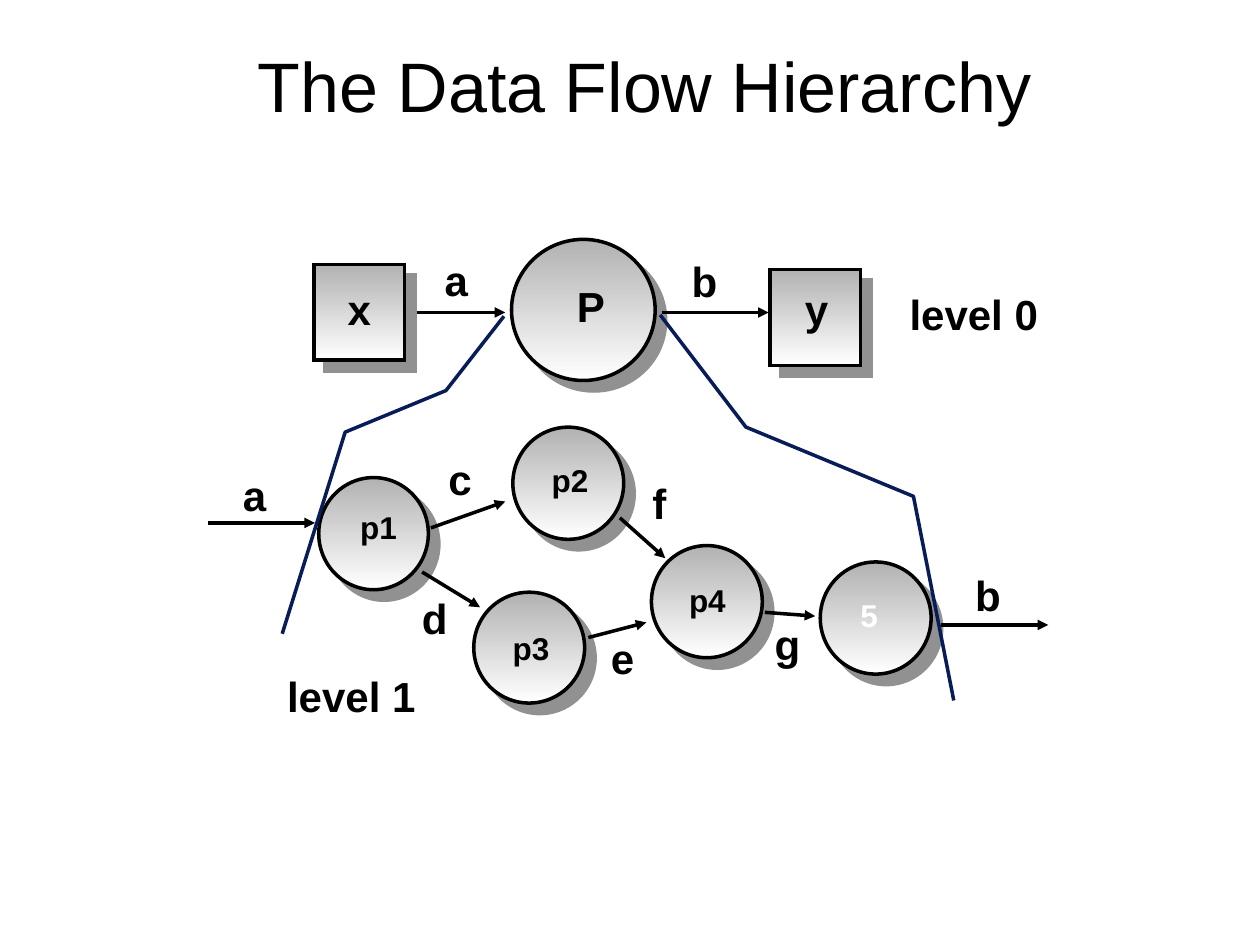
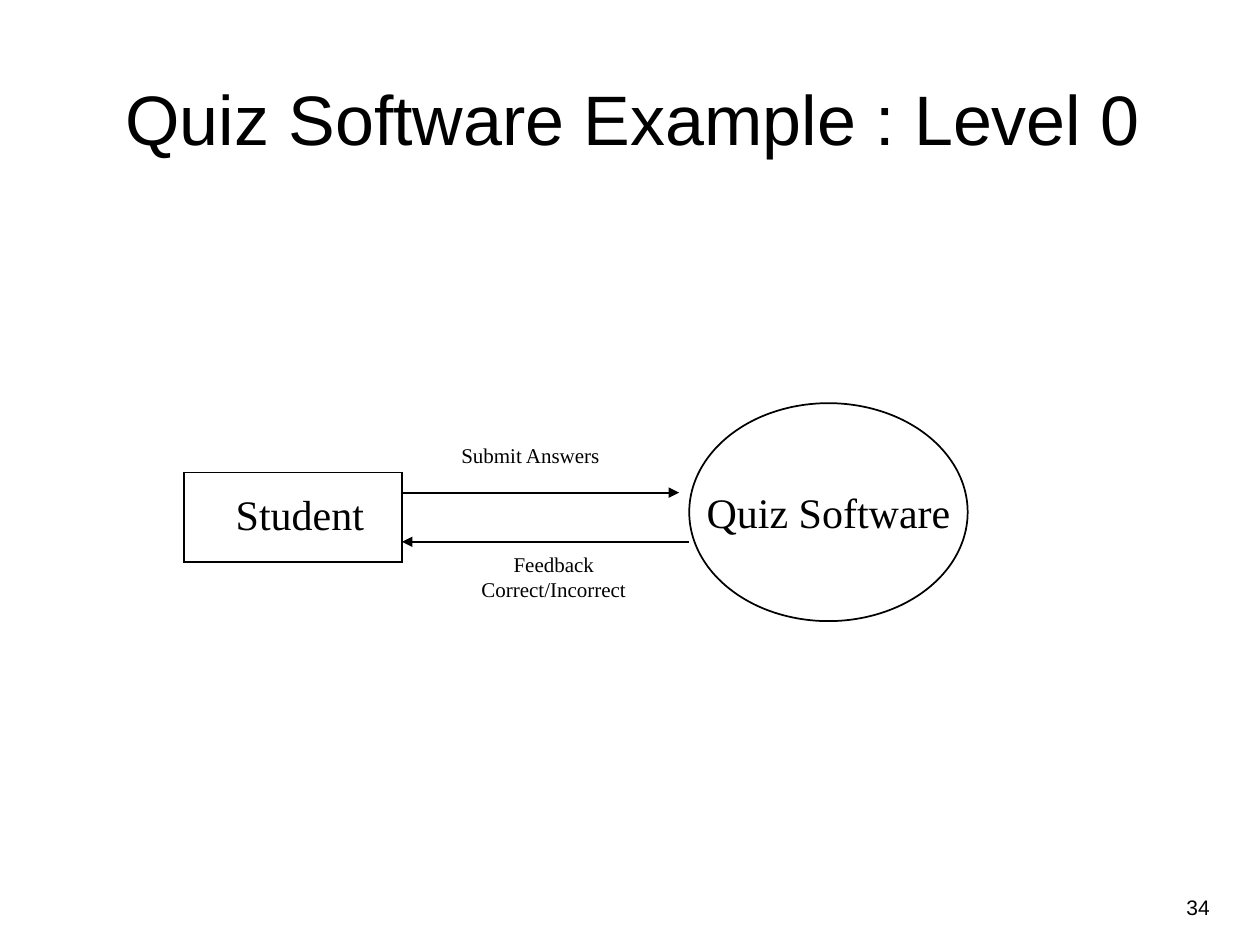
from dataclasses import dataclass

from lxml.etree import SubElement
from pptx import Presentation
from pptx.dml.color import RGBColor
from pptx.enum.shapes import MSO_CONNECTOR, MSO_SHAPE as Preset
from pptx.enum.text import MSO_ANCHOR as Anchor, MSO_AUTO_SIZE as AutoSize, PP_ALIGN as Align
from pptx.oxml.ns import qn
from pptx.shapes.autoshape import Shape
from pptx.slide import Slide
from pptx.util import Emu, Pt

PX = 9144  # one hundred px to the inch
COLORS = {
    "ink": "000000",
    "paper": "FFFFFF",
    "metal": "B2B2B2",
    "shadow": "919191",
    "boundary": "081D58",
}
SANS, SERIF = "Arial", "Times New Roman"
TITLE_ONLY = 5


@dataclass(frozen=True)
class Box:
    left: int
    top: int
    width: int
    height: int

    def emu(self) -> tuple[Emu, ...]:
        return tuple(px(n) for n in (self.left, self.top, self.width, self.height))


@dataclass(frozen=True)
class Flow:
    start: tuple[int, int]
    end: tuple[int, int]


@dataclass(frozen=True)
class Label:
    text: str
    left: int
    top: int
    width: int
    size: int = 24
    color: str = "ink"


PROCESSES = [
    Box(406, 190, 114, 112),
    Box(253, 379, 87, 89),
    Box(407, 339, 88, 89),
    Box(376, 470, 88, 88),
    Box(517, 433, 88, 89),
    Box(651, 446, 88, 89),
]
ENTITIES = [Box(249, 210, 72, 76), Box(611, 214, 72, 76)]
HIERARCHY_FLOWS = [
    Flow((317, 248), (401, 248)),
    Flow((525, 248), (610, 248)),
    Flow((165, 415), (250, 415)),
    Flow((747, 496), (832, 496)),
    Flow((342, 419), (401, 398)),
    Flow((335, 454), (381, 482)),
    Flow((467, 506), (513, 494)),
    Flow((492, 411), (528, 443)),
    Flow((607, 486), (647, 489)),
]
BOUNDARIES = [
    [(400, 251), (354, 310), (274, 343), (224, 503)],
    [(524, 250), (592, 339), (725, 394), (757, 556)],
]
HIERARCHY_LABELS = [
    Label("P", 448, 218, 42),
    Label("a", 343, 197, 38),
    Label("b", 539, 198, 40),
    Label("x", 266, 220, 38),
    Label("y", 629, 220, 38),
    Label("p1", 276, 398, 49, 18),
    Label("p2", 428, 361, 49, 18),
    Label("p3", 397, 494, 49, 18),
    Label("p4", 537, 456, 49, 18),
    Label("5", 673, 468, 34, 18, "paper"),
    Label("a", 183, 368, 38),
    Label("b", 764, 447, 40),
    Label("c", 346, 355, 38),
    Label("d", 325, 465, 40),
    Label("e", 475, 497, 38),
    Label("f", 508, 374, 31),
    Label("g", 605, 486, 40),
    Label("level 0", 712, 224, 122),
    Label("level 1", 218, 527, 122),
]
QUIZ_FLOWS = [Flow((319, 391), (539, 391)), Flow((547, 430), (319, 430))]
QUIZ_LABELS = [
    Label("Student", 177, 383, 122),
    Label("Submit Answers", 356, 346, 130, 12),
    Label("Feedback\nCorrect/Incorrect", 372, 433, 135, 12),
]


def px(length: int) -> Emu:
    return Emu(length * PX)


def rgb(name: str) -> RGBColor:
    return RGBColor.from_string(COLORS[name])


def write(shape: Shape, text: str, *, size: int, font: str = SANS, color: str = "ink",
          bold: bool = False, align: Align = Align.LEFT, anchor: Anchor = Anchor.TOP,
          wrap: bool = True, grow: bool = False, margins: tuple[int, int] = (10, 5)) -> None:
    """Fill the shape with text; margins are the side and the top-and-bottom insets."""
    frame = shape.text_frame
    frame.text = text
    frame.word_wrap = wrap
    frame.auto_size = AutoSize.SHAPE_TO_FIT_TEXT if grow else AutoSize.NONE
    frame.vertical_anchor = anchor
    frame.margin_left = frame.margin_right = px(margins[0])
    frame.margin_top = frame.margin_bottom = px(margins[1])
    for paragraph in frame.paragraphs:
        paragraph.alignment = align
        paragraph.font.name = font
        paragraph.font.size = Pt(size)
        paragraph.font.bold = bold
        paragraph.font.color.rgb = rgb(color)


def add_titled_slide(presentation: Presentation, title: str, box: Box) -> Slide:
    slide = presentation.slides.add_slide(presentation.slide_layouts[TITLE_ONLY])
    shape = slide.shapes.title
    shape.left, shape.top, shape.width, shape.height = box.emu()
    write(shape, title, size=40, align=Align.CENTER, anchor=Anchor.MIDDLE, margins=(7, 3))
    return slide


def add_label(slide: Slide, label: Label, **text_format) -> None:
    height = 20 * label.text.count("\n") + label.size * 5 // 3 + 10
    box = Box(label.left, label.top, label.width, height)
    shape = slide.shapes.add_textbox(*box.emu())
    write(shape, label.text, size=label.size, color=label.color, wrap=False, grow=True,
          **text_format)


def set_line(shape, color: str, points: int) -> None:
    shape.line.color.rgb = rgb(color)
    shape.line.width = Pt(points)


def add_outline(slide: Slide, preset: Preset, box: Box, points: int = 1) -> Shape:
    """Add an unfilled shape with a black, sharp-cornered line and no shadow."""
    shape = slide.shapes.add_shape(preset, *box.emu())
    shape.shadow.inherit = False
    shape.fill.background()
    set_line(shape, "ink", points)
    SubElement(shape._element.spPr.get_or_add_ln(), qn("a:miter"), lim="800000")
    return shape


def add_metal_shape(slide: Slide, preset: Preset, box: Box) -> None:
    """Add a shape shaded from grey to white, with a hard shadow at lower right."""
    shape = add_outline(slide, preset, box, 2)
    shape.fill.gradient()
    shape.fill.gradient_angle = 270
    for stop, color, position in zip(shape.fill.gradient_stops, ("metal", "paper"), (0, 1)):
        stop.color.rgb = rgb(color)
        stop.position = position
    effects = shape._element.spPr.find(qn("a:effectLst"))
    shadow = SubElement(effects, qn("a:outerShdw"), blurRad="0", dist=str(Pt(8.5)),
                        dir="2700000", algn="ctr", rotWithShape="0")
    SubElement(shadow, qn("a:srgbClr"), val=COLORS["shadow"])


def add_flow(slide: Slide, flow: Flow, points: int) -> None:
    ends = [px(n) for n in flow.start + flow.end]
    connector = slide.shapes.add_connector(MSO_CONNECTOR.STRAIGHT, *ends)
    set_line(connector, "ink", points)
    properties = connector._element.spPr
    SubElement(properties.get_or_add_ln(), qn("a:tailEnd"), type="triangle")
    SubElement(properties, qn("a:effectLst"))


def add_boundary(slide: Slide, points: list[tuple[int, int]]) -> None:
    builder = slide.shapes.build_freeform(*points[0], scale=PX)
    builder.add_line_segments(points[1:], close=False)
    shape = builder.convert_to_shape()
    shape.shadow.inherit = False
    shape.fill.background()
    set_line(shape, "boundary", 2)


def build_hierarchy(presentation: Presentation) -> None:
    slide = add_titled_slide(presentation, "The Data Flow Hierarchy", Box(148, 54, 727, 26))
    for box in PROCESSES:
        add_metal_shape(slide, Preset.OVAL, box)
    for flow in HIERARCHY_FLOWS:
        add_flow(slide, flow, 2)
    for box in ENTITIES:
        add_metal_shape(slide, Preset.RECTANGLE, box)
    for label in HIERARCHY_LABELS:
        add_label(slide, label, bold=True)
    for points in BOUNDARIES:
        add_boundary(slide, points)


def build_quiz(presentation: Presentation) -> None:
    slide = add_titled_slide(presentation, "Quiz Software Example : Level 0",
                             Box(92, 57, 820, 72))
    number = slide.shapes.add_textbox(*Box(901, 683, 69, 52).emu())
    write(number, "34", size=12, align=Align.RIGHT, anchor=Anchor.BOTTOM)
    software = add_outline(slide, Preset.OVAL, Box(547, 320, 221, 173))
    write(software, "Quiz Software", size=24, font=SERIF, align=Align.CENTER,
          anchor=Anchor.MIDDLE, wrap=False)
    add_outline(slide, Preset.RECTANGLE, Box(146, 375, 173, 71))
    for flow in QUIZ_FLOWS:
        add_flow(slide, flow, 1)
    for label in QUIZ_LABELS:
        add_label(slide, label, font=SERIF, align=Align.CENTER)


def main() -> None:
    presentation = Presentation()
    presentation.slide_width, presentation.slide_height = px(1000), px(750)
    build_hierarchy(presentation)
    build_quiz(presentation)
    presentation.save("out.pptx")


if __name__ == "__main__":
    main()
